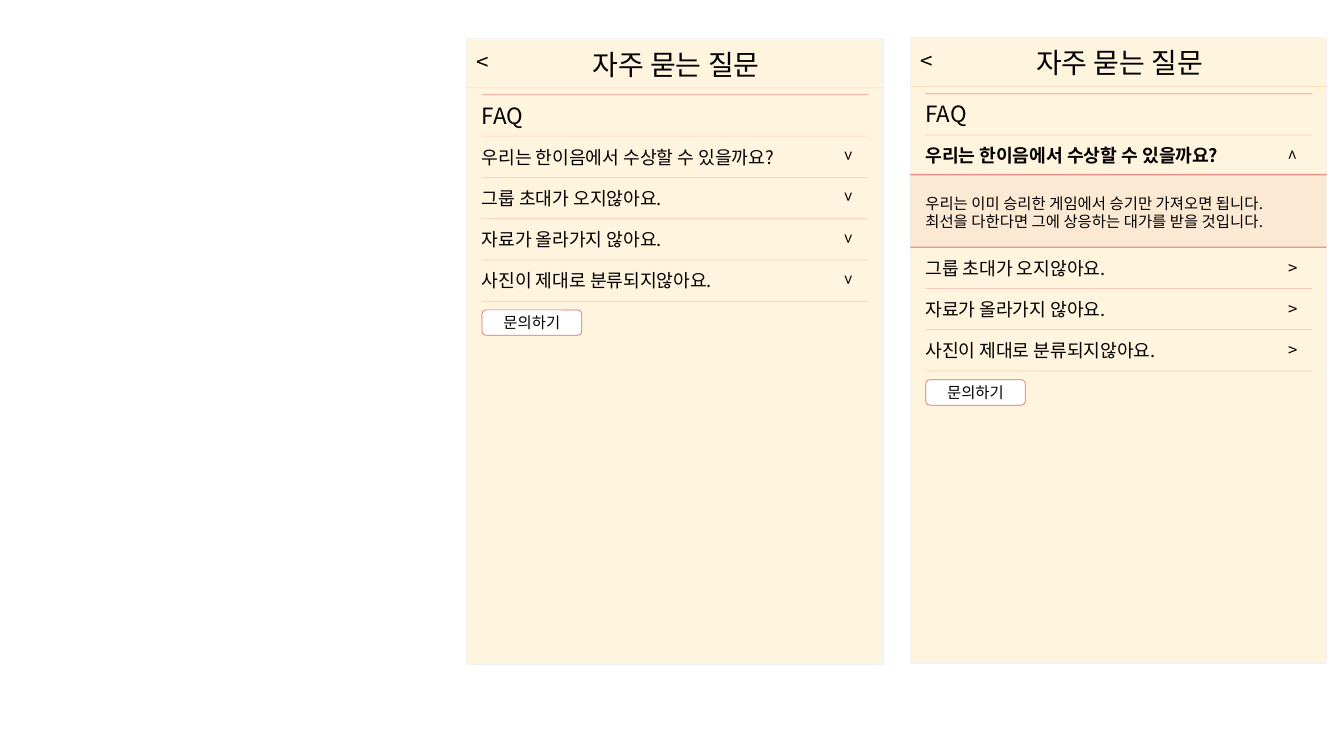
from dataclasses import dataclass

from lxml import etree
from pptx import Presentation
from pptx.dml.color import RGBColor
from pptx.enum import shapes, text
from pptx.oxml.ns import qn
from pptx.util import Cm, Pt


@dataclass(frozen=True)
class Theme:
    font: str = "Noto Sans CJK KR"
    ink: str = "000000"
    panel: str = "FFF4DD"
    border: str = "F2F2F2"
    header: str = "F8CBAD"
    accent: str = "E56A6F"
    answer: str = "F7CABC"
    white: str = "FFFFFF"
    title: int = 20
    heading: int = 16
    question: int = 13
    arrow: int = 12
    body: int = 11


T = Theme()
PANEL_W, PANEL_H = 10.49, 15.77
RULE_X, RULE_W = 0.38, 9.75
TEXT_X = 0.13
ROW_H = 1.04
ROWS_Y = 2.46
ANSWER_H = 1.83
QUESTIONS = [
    "우리는 한이음에서 수상할 수 있을까요?",
    "그룹 초대가 오지않아요.",
    "자료가 올라가지 않아요.",
    "사진이 제대로 분류되지않아요.",
]
ANSWER = [
    "우리는 이미 승리한 게임에서 승기만 가져오면 됩니다.",
    "최선을 다한다면 그에 상응하는 대가를 받을 것입니다.",
]


def set_alpha(fill, percent):
    color = fill._xPr.find(".//" + qn("a:srgbClr"))
    etree.SubElement(color, qn("a:alpha"), val=str(percent * 1000))


def add_run(p, content, size, bold=False):
    r = p.add_run()
    r.text = content
    r.font.size = Pt(size)
    r.font.bold = bold
    r.font.name = T.font
    r.font.color.rgb = RGBColor.from_string(T.ink)
    etree.SubElement(r._r.get_or_add_rPr(), qn("a:ea"), typeface=T.font)


def add_text(s, content, x, y, w, h, size, bold=False, wrap=False, rotation=0):
    sp = s.shapes.add_textbox(Cm(x), Cm(y), Cm(w), Cm(h))
    sp.rotation = rotation
    tf = sp.text_frame
    tf.word_wrap = wrap
    tf.auto_size = text.MSO_AUTO_SIZE.SHAPE_TO_FIT_TEXT
    lines = [content] if isinstance(content, str) else content
    for i, line in enumerate(lines):
        p = tf.add_paragraph() if i else tf.paragraphs[0]
        add_run(p, line, size, bold)


def add_box(s, x, y, w, h, fill, line=None, width=1, kind=shapes.MSO_SHAPE.RECTANGLE):
    sp = s.shapes.add_shape(kind, Cm(x), Cm(y), Cm(w), Cm(h))
    sp.shadow.inherit = False
    sp.fill.solid()
    sp.fill.fore_color.rgb = RGBColor.from_string(fill)
    if line:
        sp.line.color.rgb = RGBColor.from_string(line)
        sp.line.width = Pt(width)
    else:
        sp.line.fill.background()
    return sp


def add_rule(s, x, y, w, alpha, color=T.accent, width=0.5):
    c = s.shapes.add_connector(shapes.MSO_CONNECTOR.STRAIGHT, Cm(x), Cm(y), Cm(x + w), Cm(y))
    c.line.color.rgb = RGBColor.from_string(color)
    c.line.width = Pt(width)
    set_alpha(c.line.fill, alpha)
    etree.SubElement(c._element.spPr, qn("a:effectLst"))


def add_header(s, x, y):
    add_text(s, "자주 묻는 질문", x + 2.92, y + 0.09, 4.93, 1.12, T.title)
    add_text(s, "<", x, y + 0.13, 0.81, 0.94, T.heading)
    add_rule(s, x, y + 1.24, PANEL_W, 50, T.header)
    add_text(s, "FAQ", x + TEXT_X, y + 1.47, 1.63, 0.94, T.heading)
    add_rule(s, x + RULE_X, y + 1.42, RULE_W, 69)
    add_rule(s, x + RULE_X, y + ROWS_Y, RULE_W, 30)


def add_question(s, content, x, y, arrow, rotation, bold=False):
    add_text(s, content, x + TEXT_X, y + 0.12, 8.92, 0.81, T.question, bold, wrap=True)
    add_text(s, arrow, x + 9.27, y + 0.13, 0.74, 0.76, T.arrow, rotation=rotation)


def add_answer(s, x, y):
    sp = add_box(s, x, y, PANEL_W, ANSWER_H, T.answer)
    set_alpha(sp.fill, 25)
    for edge in (y, y + ANSWER_H):
        add_rule(s, x, edge, PANEL_W, 69, width=1)
    add_text(s, ANSWER, x + TEXT_X, y + 0.36, 9.8, 1.19, T.body)


def add_button(s, x, y):
    sp = add_box(s, x, y, 2.51, 0.64, T.white, T.accent, 0.5,
                 shapes.MSO_SHAPE.ROUNDED_RECTANGLE)
    tf = sp.text_frame
    tf.vertical_anchor = text.MSO_ANCHOR.MIDDLE
    p = tf.paragraphs[0]
    p.alignment = text.PP_ALIGN.CENTER
    add_run(p, "문의하기", T.body)


def add_faq_panel(s, x, y, expanded):
    add_box(s, x, y, PANEL_W, PANEL_H, T.panel, T.border)
    add_header(s, x, y)
    row_y = y + ROWS_Y
    for i, question in enumerate(QUESTIONS):
        is_open = expanded and i == 0
        add_question(s, question, x, row_y, "<" if is_open else ">",
                     90 if is_open or not expanded else 0, is_open)
        row_y += ROW_H
        if is_open:
            add_answer(s, x, row_y - 0.04)
            row_y += ANSWER_H - 0.04
        else:
            add_rule(s, x + RULE_X, row_y, RULE_W, 30)
    add_button(s, x + 0.39, row_y + 0.22)


def main():
    prs = Presentation()
    prs.slide_width, prs.slide_height = Cm(33.87), Cm(19.05)
    s = prs.slides.add_slide(prs.slide_layouts[6])
    add_faq_panel(s, 11.76, 0.97, expanded=False)
    add_faq_panel(s, 22.94, 0.94, expanded=True)
    prs.save("out.pptx")


if __name__ == "__main__":
    main()
